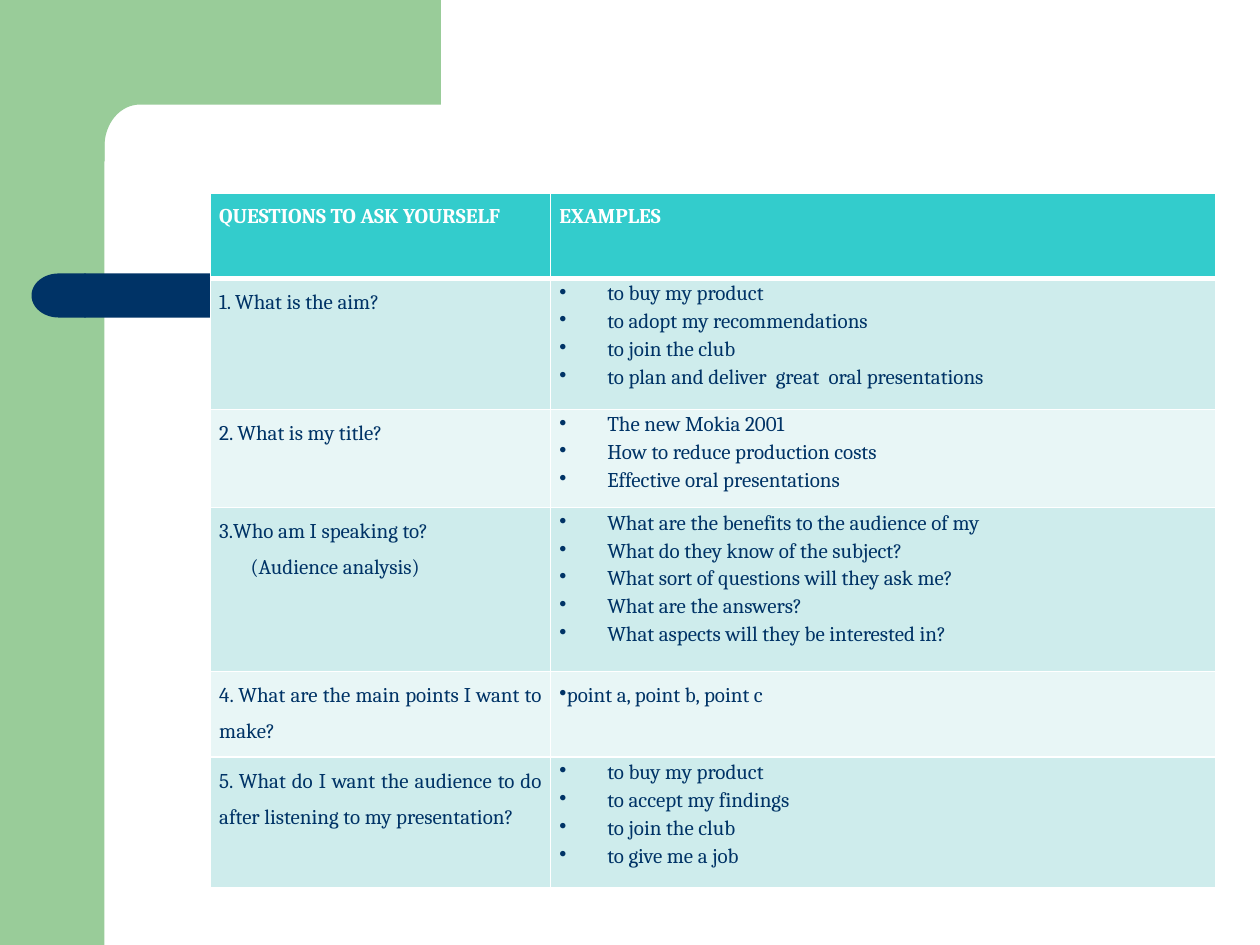
import math
from lxml import etree
from pptx import Presentation
from pptx.dml.color import RGBColor
from pptx.enum import shapes, text
from pptx.oxml.ns import qn
from pptx.util import Inches, Pt

GREEN = RGBColor(0x99, 0xCC, 0x99)
NAVY = RGBColor(0x00, 0x33, 0x66)
TEAL = RGBColor(0x33, 0xCC, 0xCC)
PALE = RGBColor(0xCE, 0xEC, 0xEC)
PALER = RGBColor(0xE8, 0xF6, 0xF6)
WHITE = RGBColor(0xFF, 0xFF, 0xFF)

COLUMN_WIDTHS = [2.7, 5.28]
ROW_HEIGHTS = [0.68, 1.04, 0.78, 1.3, 0.68, 1.04]
PLAIN = (0, 0, 1.5, False)
HANGING = (0.38, -0.38, 1.5, False)
INDENTED = (0.25, 0, 1.5, False)
BULLET = (0.38, -0.38, 1.15, True)
TIGHT_BULLET = (0, 0, 1.5, True)


def bullets(*lines):
    return [(line, BULLET) for line in lines]


ROWS = [
    ([("QUESTIONS TO ASK YOURSELF", PLAIN)], [("EXAMPLES", PLAIN)]),
    ([("1. What is the aim?", PLAIN)],
     bullets("to buy my product", "to adopt my recommendations", "to join the club",
             "to plan and deliver  great  oral presentations")),
    ([("2. What is my title?", PLAIN)],
     bullets("The new Mokia 2001", "How to reduce production costs",
             "Effective oral presentations")),
    ([("3.Who am I speaking to?", HANGING), ("(Audience analysis)", INDENTED)],
     bullets("What are the benefits to the audience of my",
             "What do they know of the subject?",
             "What sort of questions will they ask me?",
             "What are the answers?",
             "What aspects will they be interested in?")),
    ([("4. What are the main points I want to make?", PLAIN)],
     [("point a, point b, point c", TIGHT_BULLET)]),
    ([("5. What do I want the audience to do after listening to my presentation?", PLAIN)],
     bullets("to buy my product", "to accept my findings", "to join the club",
             "to give me a job")),
]


def paint(shape, color):
    shape.shadow.inherit = False
    shape.fill.solid()
    shape.fill.fore_color.rgb = color
    shape.line.fill.background()


def add_block(slide, kind, left, top, width, height, color):
    block = slide.shapes.add_shape(
        kind, Inches(left), Inches(top), Inches(width), Inches(height))
    paint(block, color)
    return block


def add_green_frame(slide, left, top, height):
    add_block(slide, shapes.MSO_SHAPE.RECTANGLE, left, top, 0.83, height, GREEN)
    band, radius_x, radius_y = 0.83, 0.28, 0.33
    steps = 16
    angles = [math.pi / 2 * step / steps for step in range(steps + 1)]
    curve = [(band + radius_x * (1 - math.sin(angle)),
              band + radius_y * (1 - math.cos(angle))) for angle in angles]
    outline = [(3.5, band), *curve, (band, 1.28), (0.5, 1.28), (0.5, 0)]
    builder = slide.shapes.build_freeform(
        Inches(left + 3.5), Inches(top), scale=1.0)
    builder.add_line_segments(
        [(Inches(left + x), Inches(top + y)) for x, y in outline], close=True)
    paint(builder.convert_to_shape(), GREEN)


def add_navy_bar(slide, left, top, width, height):
    cap_width = 0.43
    bar = add_block(slide, shapes.MSO_SHAPE.ROUNDED_RECTANGLE, left + 0.42, top,
                    width - 0.42, height, NAVY)
    bar.adjustments[0] = 0
    cap = add_block(slide, shapes.MSO_SHAPE.FLOWCHART_DELAY, left, top,
                    cap_width, height, NAVY)
    cap.rotation = 180


def set_borders(cell, bottom):
    properties = cell._tc.get_or_add_tcPr()
    for side, points in (("L", 1), ("R", 1), ("T", 1), ("B", bottom)):
        line = etree.SubElement(properties, qn(f"a:ln{side}"), w=str(Pt(points)))
        fill = etree.SubElement(line, qn("a:solidFill"))
        etree.SubElement(fill, qn("a:srgbClr"), val=str(WHITE))


def write_paragraph(paragraph, wording, layout, color, bold):
    margin, indent, spacing, bulleted = layout
    paragraph.text = wording
    paragraph.alignment = text.PP_ALIGN.JUSTIFY
    paragraph.line_spacing = spacing
    properties = paragraph._p.get_or_add_pPr()
    properties.set("marL", str(Inches(margin)))
    properties.set("indent", str(Inches(indent)))
    if bulleted:
        etree.SubElement(properties, qn("a:buChar"), char="•")
    font = paragraph.font
    font.name, font.size, font.bold = "Cambria", Pt(12), bold
    font.color.rgb = color


def fill_cell(cell, paragraphs, row):
    header = row == 0
    set_borders(cell, 3 if header else 1)
    cell.fill.solid()
    cell.fill.fore_color.rgb = TEAL if header else PALE if row % 2 else PALER
    cell.margin_left = cell.margin_right = Inches(0.07)
    cell.margin_top = cell.margin_bottom = 0
    frame = cell.text_frame
    for index, (wording, layout) in enumerate(paragraphs):
        paragraph = frame.add_paragraph() if index else frame.paragraphs[0]
        write_paragraph(paragraph, wording, layout, WHITE if header else NAVY, header)


def add_question_table(slide, left, top):
    questions = slide.shapes.add_table(
        len(ROWS), len(COLUMN_WIDTHS), Inches(left), Inches(top),
        Inches(sum(COLUMN_WIDTHS)), Inches(sum(ROW_HEIGHTS))).table
    for column, width in zip(questions.columns, COLUMN_WIDTHS):
        column.width = Inches(width)
    for row, (height, contents) in enumerate(zip(ROW_HEIGHTS, ROWS)):
        questions.rows[row].height = Inches(height)
        for column, paragraphs in enumerate(contents):
            fill_cell(questions.cell(row, column), paragraphs, row)


def main():
    presentation = Presentation()
    presentation.slide_width, presentation.slide_height = Inches(10), Inches(7.5)
    slide = presentation.slides.add_slide(presentation.slide_layouts[6])
    add_green_frame(slide, 0, 0, 7.5)
    add_navy_bar(slide, 0.25, 2.17, 8.09, 0.35)
    add_question_table(slide, 1.67, 1.53)
    presentation.save("out.pptx")


if __name__ == "__main__":
    main()
